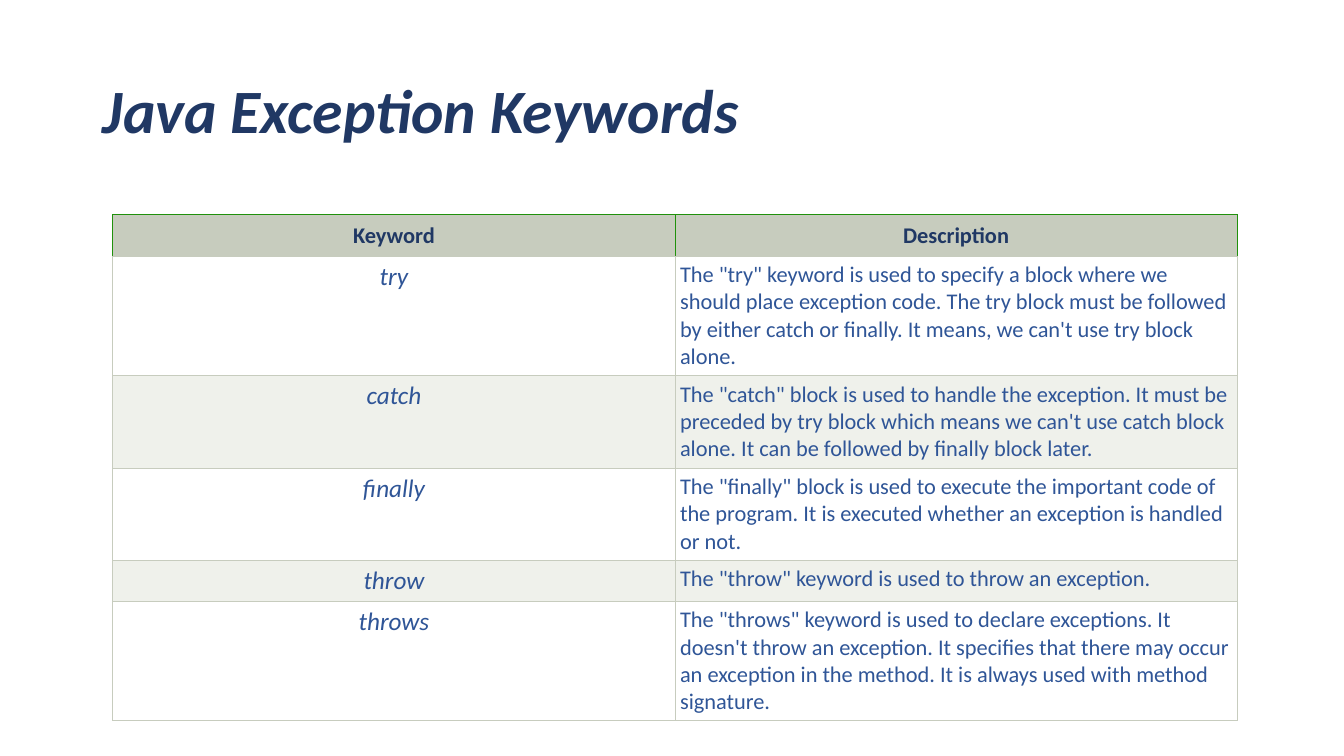
from pptx import Presentation
from pptx.dml.color import RGBColor
from pptx.enum import text
from pptx.oxml import parse_xml
from pptx.oxml.ns import nsdecls
from pptx.util import Inches, Pt

TITLE = "Java Exception Keywords"
HEADERS = ("Keyword", "Description")
KEYWORDS = [
    ("try", "The \"try\" keyword is used to specify a block where we should place exception code. "
     "The try block must be followed by either catch or finally. "
     "It means, we can't use try block alone."),
    ("catch", "The \"catch\" block is used to handle the exception. "
     "It must be preceded by try block which means we can't use catch block alone. "
     "It can be followed by finally block later."),
    ("finally", "The \"finally\" block is used to execute the important code of the program. "
     "It is executed whether an exception is handled or not."),
    ("throw", "The \"throw\" keyword is used to throw an exception."),
    ("throws", "The \"throws\" keyword is used to declare exceptions. "
     "It doesn't throw an exception. "
     "It specifies that there may occur an exception in the method. "
     "It is always used with method signature."),
]
ROW_HEIGHTS = (0.41, 1.16, 0.89, 0.89, 0.36, 1.16)
NAVY, BLUE, SAGE, GREEN = "203864", "2F5597", "C7CCBE", "20910C"
BANDS = ("EFF1EB", "FFFFFF")


def rgb(value):
    return RGBColor.from_string(value)


def format_text(tf, size, color, bold=False, italic=False, align=None):
    p = tf.paragraphs[0]
    p.alignment = align
    font = p.runs[0].font
    font.name, font.size = "Calibri", Pt(size)
    font.bold, font.italic = bold, italic
    font.color.rgb = rgb(color)


def set_borders(cell, colors):
    tc_pr = cell._tc.get_or_add_tcPr()
    for i, (side, color) in enumerate(zip("LRTB", colors)):
        tc_pr.insert(i, parse_xml(
            f'<a:ln{side} {nsdecls("a")} w="{Pt(0.75)}"><a:solidFill>'
            f'<a:srgbClr val="{color}"/></a:solidFill></a:ln{side}>'))


def fill_cell(cell, content, fill, margin, borders, **style):
    cell.text_frame.text = content
    cell.margin_left = cell.margin_right = Inches(margin)
    cell.margin_top = cell.margin_bottom = Inches(margin)
    cell.fill.solid()
    cell.fill.fore_color.rgb = rgb(fill)
    format_text(cell.text_frame, **style)
    set_borders(cell, borders)


prs = Presentation()
prs.slide_width, prs.slide_height = Inches(13.33), Inches(7.5)
s = prs.slides.add_slide(prs.slide_layouts[5])

title = s.shapes.title
title.left, title.top = Inches(0.92), Inches(0.4)
title.width, title.height = Inches(11.5), Inches(1.45)
tf = title.text_frame
tf.text = TITLE
tf.vertical_anchor = text.MSO_ANCHOR.MIDDLE
tf.paragraphs[0].line_spacing = 0.9
format_text(tf, 44, NAVY, bold=True, italic=True, align=text.PP_ALIGN.LEFT)

table = s.shapes.add_table(len(ROW_HEIGHTS), len(HEADERS), Inches(1.12), Inches(2.13),
                           Inches(11.15), Inches(sum(ROW_HEIGHTS))).table
for row, height in zip(table.rows, ROW_HEIGHTS):
    row.height = Inches(height)

center, left = text.PP_ALIGN.CENTER, text.PP_ALIGN.LEFT
for col, header in enumerate(HEADERS):
    fill_cell(table.cell(0, col), header, SAGE, 0.07, (GREEN, GREEN, GREEN, SAGE),
              size=16, color=NAVY, bold=True, align=center)
for i, (keyword, description) in enumerate(KEYWORDS, 1):
    band = BANDS[i % 2]
    fill_cell(table.cell(i, 0), keyword, band, 0.05, [SAGE] * 4,
              size=18, color=BLUE, italic=True, align=center)
    fill_cell(table.cell(i, 1), description, band, 0.05, [SAGE] * 4,
              size=16, color=BLUE, align=left)

prs.save("out.pptx")
